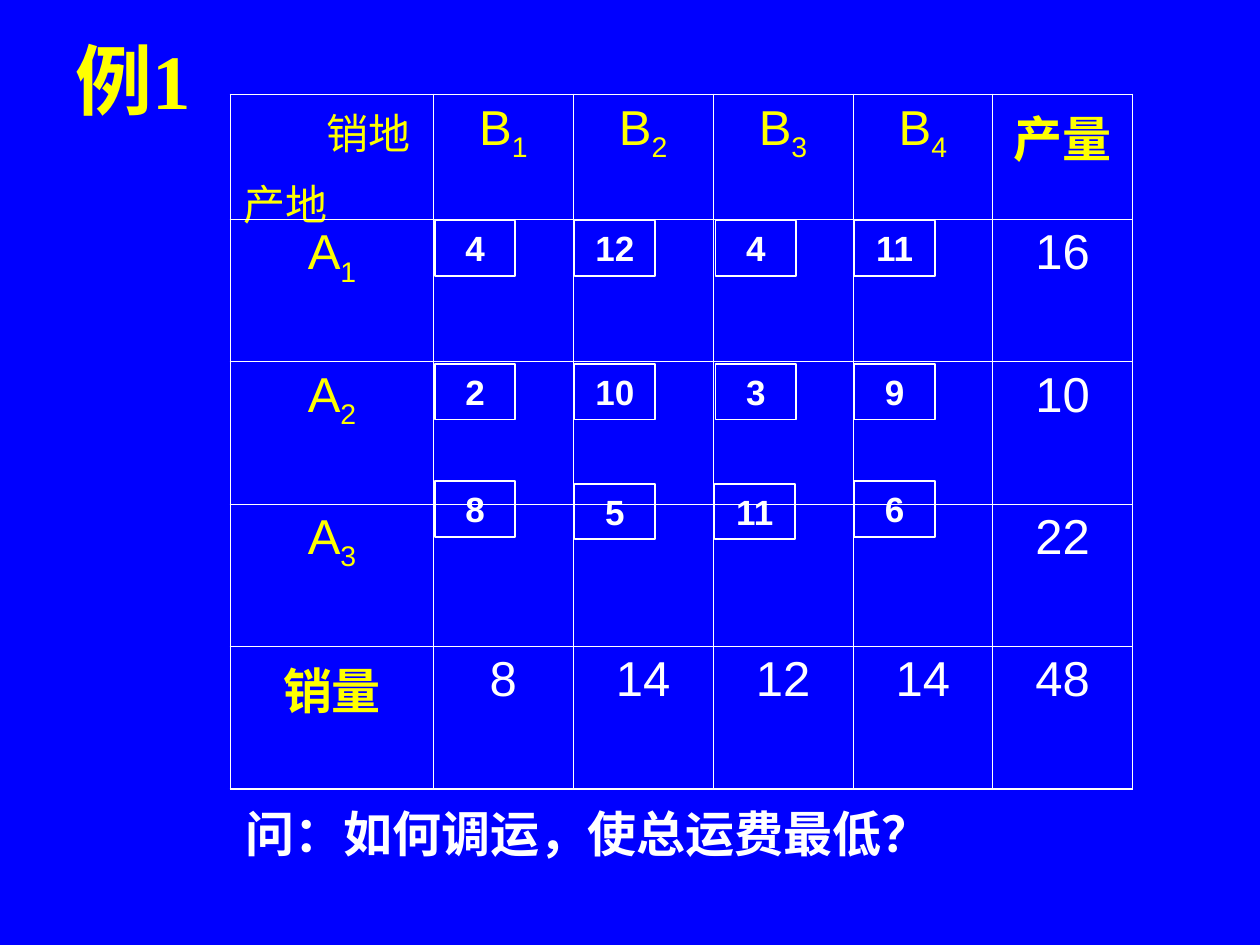
from lxml.etree import SubElement
from pptx import Presentation
from pptx.dml.color import RGBColor
from pptx.enum.shapes import MSO_SHAPE as Shape
from pptx.enum.text import MSO_ANCHOR as Anchor, PP_ALIGN as Align
from pptx.oxml.ns import qn
from pptx.util import Inches, Pt

BLUE = RGBColor(0x00, 0x00, 0xFF)
YELLOW = RGBColor(0xFF, 0xFF, 0x00)
WHITE = RGBColor(0xFF, 0xFF, 0xFF)
SANS, SERIF = "Arial", "Times New Roman"

COLUMN_WIDTHS = [1.61] + [1.11] * 5
ROW_HEIGHTS = [0.99] + [1.13] * 4
DESTINATIONS = ["B1", "B2", "B3", "B4"]
SUPPLIES = {"A1": "16", "A2": "10", "A3": "22"}
DEMANDS = ["8", "14", "12", "14"]
TOTAL = "48"

COST_SIZE = (0.64, 0.44)
COST_LEFTS = [3.45, 4.56, 5.68, 6.78]
COST_ROWS = [
    (1.75, ["4", "12", "4", "11"]),
    (2.89, ["2", "10", "3", "9"]),
    (3.82, ["8", "5", "11", "6"]),
]
COST_SHIFTS = {"5": (0, 0.02), "11": (-0.01, 0.02)}  # nudges in the last row


def style_runs(paragraph, size, font, color, bold=False):
    for run in paragraph.runs:
        run.font.size = Pt(size)
        run.font.name = font
        run.font.bold = bold
        run.font.color.rgb = color


def add_line_of_text(slide, box, text, size, anchor=Anchor.TOP, color=WHITE, wrap=True):
    frame = slide.shapes.add_textbox(*map(Inches, box)).text_frame
    frame.word_wrap = wrap
    frame.vertical_anchor = anchor
    frame.text = text
    style_runs(frame.paragraphs[0], size, SERIF, color, bold=True)


def set_borders(cell, row, column):
    """Thin inner lines, thicker lines on the outside of the table."""
    outer = {
        "a:lnL": column == 0,
        "a:lnR": column == len(COLUMN_WIDTHS) - 1,
        "a:lnT": row == 0,
        "a:lnB": row == len(ROW_HEIGHTS) - 1,
    }
    properties = cell._tc.get_or_add_tcPr()
    for tag, is_outer in outer.items():
        line = SubElement(properties, qn(tag), w=str(Pt(1.08 if is_outer else 0.45)))
        fill = SubElement(line, qn("a:solidFill"))
        SubElement(fill, qn("a:srgbClr"), val=str(WHITE))


def fill_cell(cell, text, color=WHITE, font=SANS, bold=False):
    cell.text_frame.text = text
    paragraph = cell.text_frame.paragraphs[0]
    paragraph.alignment = Align.CENTER
    style_runs(paragraph, 28, font, color, bold)


def fill_index_cell(cell, name):
    """Writes a name such as B1 with its digit as a subscript."""
    fill_cell(cell, name[0], YELLOW)
    paragraph = cell.text_frame.paragraphs[0]
    index = paragraph.add_run()
    index.text = name[1:]
    style_runs(paragraph, 28, SANS, YELLOW)
    index.font._element.set("baseline", "-25000")


def fill_corner_cell(cell):
    cell.margin_right = Inches(0.18)
    cell.text_frame.text = "销地\n产地"
    destination, origin = cell.text_frame.paragraphs
    destination.alignment = Align.RIGHT
    origin.space_before = Pt(6)
    for paragraph in (destination, origin):
        style_runs(paragraph, 24, SERIF, YELLOW)


def add_transport_table(slide, box):
    rows, columns = len(ROW_HEIGHTS), len(COLUMN_WIDTHS)
    table = slide.shapes.add_table(rows, columns, *map(Inches, box)).table
    table.first_row = table.horz_banding = False
    for column, width in zip(table.columns, COLUMN_WIDTHS):
        column.width = Inches(width)
    for row, height in zip(table.rows, ROW_HEIGHTS):
        row.height = Inches(height)
    for r in range(rows):
        for c in range(columns):
            set_borders(table.cell(r, c), r, c)
            table.cell(r, c).fill.background()

    last_row, last_column = rows - 1, columns - 1
    fill_corner_cell(table.cell(0, 0))
    fill_cell(table.cell(0, last_column), "产量", YELLOW, SERIF, True)
    fill_cell(table.cell(last_row, 0), "销量", YELLOW, SERIF, True)
    for c, (destination, demand) in enumerate(zip(DESTINATIONS, DEMANDS), 1):
        fill_index_cell(table.cell(0, c), destination)
        fill_cell(table.cell(last_row, c), demand)
    for r, (origin, supply) in enumerate(SUPPLIES.items(), 1):
        fill_index_cell(table.cell(r, 0), origin)
        fill_cell(table.cell(r, last_column), supply)
    fill_cell(table.cell(last_row, last_column), TOTAL)


def add_cost(slide, box, cost):
    tag = slide.shapes.add_shape(Shape.RECTANGLE, *map(Inches, box))
    tag.shadow.inherit = False
    tag.fill.background()
    tag.line.color.rgb = WHITE
    tag.line.width = Pt(1)
    frame = tag.text_frame
    frame.word_wrap = True
    frame.vertical_anchor = Anchor.TOP
    frame.text = cost
    frame.paragraphs[0].alignment = Align.CENTER
    style_runs(frame.paragraphs[0], 20, SANS, WHITE, bold=True)


def add_costs(slide):
    for top, costs in COST_ROWS:
        for left, cost in zip(COST_LEFTS, costs):
            is_last = top == COST_ROWS[-1][0]
            dx, dy = COST_SHIFTS.get(cost, (0, 0)) if is_last else (0, 0)
            add_cost(slide, (left + dx, top + dy, *COST_SIZE), cost)


def main():
    deck = Presentation()
    deck.slide_width, deck.slide_height = Inches(10), Inches(7.5)
    slide = deck.slides.add_slide(deck.slide_layouts[6])
    slide.background.fill.solid()
    slide.background.fill.fore_color.rgb = BLUE

    add_line_of_text(slide, (0.5, 0, 8.5, 1.25), "例1", 44, Anchor.MIDDLE, YELLOW)
    add_transport_table(slide, (1.83, 0.75, sum(COLUMN_WIDTHS), sum(ROW_HEIGHTS)))
    add_costs(slide)
    add_line_of_text(slide, (1.85, 6.33, 5.63, 0.57), "问：如何调运，使总运费最低？", 28, wrap=False)
    deck.save("out.pptx")


if __name__ == "__main__":
    main()
